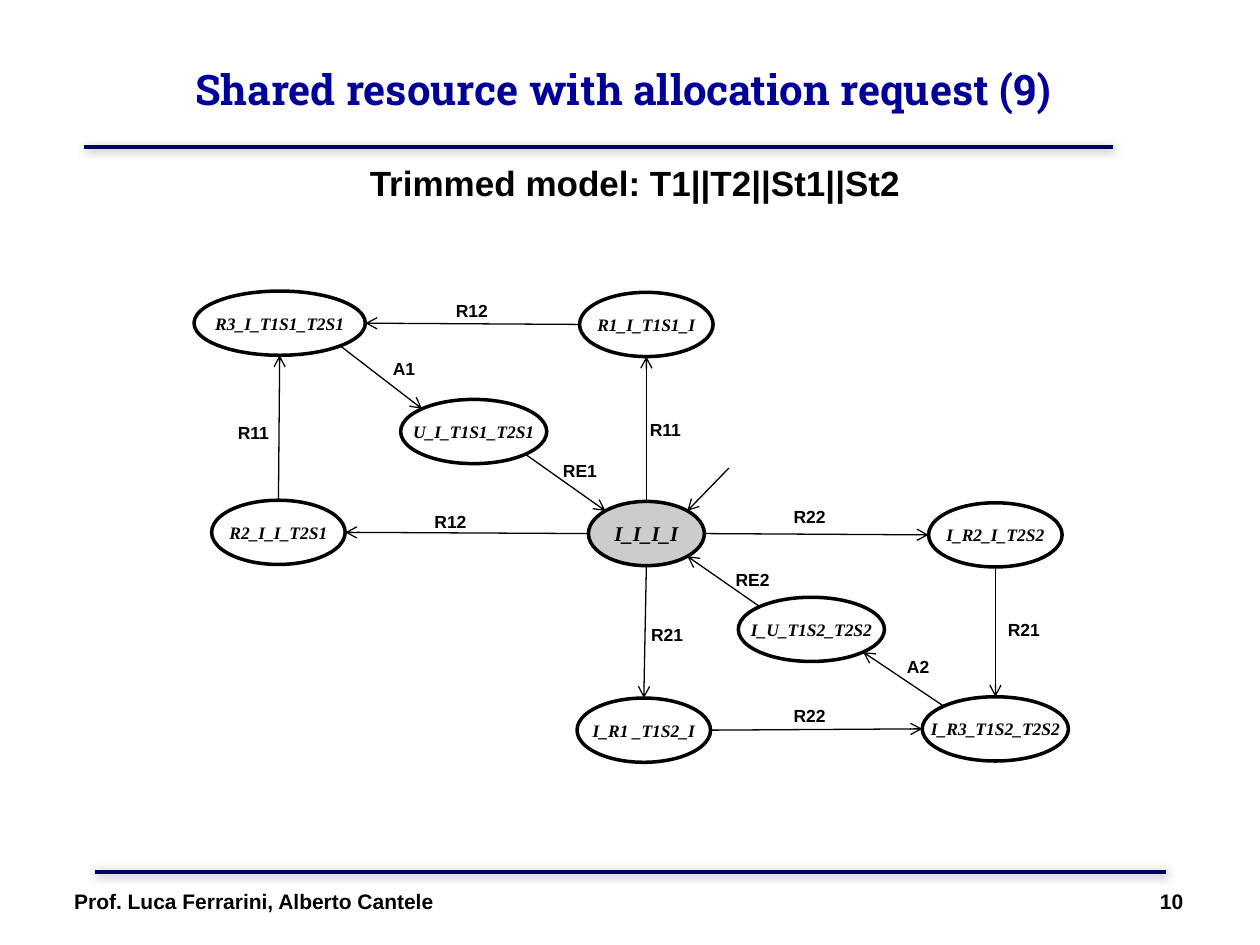
from math import cos, radians, sin

from lxml import etree
from pptx import Presentation
from pptx.dml.color import RGBColor
from pptx.enum.shapes import MSO_CONNECTOR, MSO_SHAPE
from pptx.enum.text import MSO_ANCHOR, PP_ALIGN
from pptx.oxml.ns import qn
from pptx.util import Inches, Pt

STRAIGHT = MSO_CONNECTOR.STRAIGHT
ELLIPSE = MSO_SHAPE.OVAL
LEFT, CENTER, RIGHT = PP_ALIGN.LEFT, PP_ALIGN.CENTER, PP_ALIGN.RIGHT
TOP, MIDDLE = MSO_ANCHOR.TOP, MSO_ANCHOR.MIDDLE

COLORS = {
    "title": "000099",
    "rule": "000066",
    "shadow": "808080",
    "ink": "000000",
    "state": "FFFFFF",
    "initial": "CCCCCC",
}

STATE_HEIGHT = 0.51
STATES = {
    "I_I_I_I": (3.13, 1.67, 0.92),
    "R1_I_T1S1_I": (3.06, 0.01, 1.06),
    "I_R2_I_T2S2": (5.83, 1.68, 1.06),
    "I_R1 _T1S2_I": (3.04, 3.23, 1.06),
    "R2_I_I_T2S1": (0.14, 1.66, 1.06),
    "I_R3_T1S2_T2S2": (5.78, 3.22, 1.16),
    "I_U_T1S2_T2S2": (4.32, 2.43, 1.16),
    "R3_I_T1S1_T2S1": (0, 0, 1.36),
    "U_I_T1S1_T2S1": (1.64, 0.86, 1.16),
}
INITIAL = "I_I_I_I"

ANGLES = {"right": 0, "lower right": 45, "bottom": 90, "left": 180,
          "upper left": 225, "top": 270, "upper right": 315}

TRANSITIONS = [
    ("R11", INITIAL, "top", "R1_I_T1S1_I", "bottom", (3.52, 0.97)),
    ("R12", "R1_I_T1S1_I", "left", "R3_I_T1S1_T2S1", "right", (1.98, 0.02)),
    ("R12", INITIAL, "left", "R2_I_I_T2S1", "right", (1.81, 1.7)),
    ("R11", "R2_I_I_T2S1", "top", "R3_I_T1S1_T2S1", "bottom", (0.25, 0.99)),
    ("A1", "R3_I_T1S1_T2S1", "lower right", "U_I_T1S1_T2S1", "upper left", (1.48, 0.48)),
    ("RE1", "U_I_T1S1_T2S1", "lower right", INITIAL, "upper left", (2.83, 1.29)),
    ("R22", INITIAL, "right", "I_R2_I_T2S2", "left", (4.66, 1.66)),
    ("R21", INITIAL, "bottom", "I_R1 _T1S2_I", "top", (3.53, 2.59)),
    ("R21", "I_R2_I_T2S2", "bottom", "I_R3_T1S2_T2S2", "top", (6.36, 2.55)),
    ("R22", "I_R1 _T1S2_I", "right", "I_R3_T1S2_T2S2", "left", (4.66, 3.24)),
    ("A2", "I_R3_T1S2_T2S2", "upper left", "I_U_T1S2_T2S2", "lower right", (5.56, 2.85)),
    ("RE2", "I_U_T1S2_T2S2", "upper left", INITIAL, "lower right", (4.2, 2.16)),
]


def color(name):
    """Return the named colour."""
    return RGBColor.from_string(COLORS[name])


def write(shape, text, size, font="Arial", ink="ink", align=LEFT, anchor=TOP, italic=False):
    """Put one bold formatted paragraph into a shape."""
    frame = shape.text_frame
    frame.text = text
    frame.vertical_anchor = anchor
    para = frame.paragraphs[0]
    para.alignment = align
    span = para.runs[0].font
    span.name, span.size, span.bold, span.italic = font, Pt(size), True, italic
    span.color.rgb = color(ink)


def add_text(page, box, text, size, **style):
    """Add a wrapping text box."""
    label = page.shapes.add_textbox(*map(Inches, box))
    label.text_frame.word_wrap = True
    write(label, text, size, **style)


def add_line(page, start, end, ink, width):
    """Add a straight line and return it with its empty effect list."""
    line = page.shapes.add_connector(STRAIGHT, *map(Inches, (*start, *end)))
    line.line.color.rgb = color(ink)
    line.line.width = Pt(width)
    effects = etree.SubElement(line._element.spPr, qn("a:effectLst"))
    return line, effects


def add_arrow(page, start, end):
    """Add a thin line with an open arrowhead at its end."""
    arrow, _ = add_line(page, start, end, "ink", 0.75)
    etree.SubElement(arrow.line._get_or_add_ln(), qn("a:tailEnd"), type="arrow")


def add_rule(page, left, top, width):
    """Add a horizontal rule with a soft shadow."""
    _, effects = add_line(page, (left, top), (left + width, top), "rule", 2.25)
    shadow = etree.SubElement(effects, qn("a:outerShdw"), blurRad=str(Pt(5)),
                              dist=str(Pt(1.4)), dir=str(45 * 60000))
    tint = etree.SubElement(shadow, qn("a:srgbClr"), val=COLORS["shadow"])
    etree.SubElement(tint, qn("a:alpha"), val="75000")


def add_header(page, left, top, width):
    """Add the title, its rule and the subtitle."""
    add_rule(page, left, top + 1.09, 8.16)
    add_text(page, (left + 0.03, top, width, 1.25),
             "Shared resource with allocation request (9)", 24,
             font="Roboto Slab", ink="title", align=CENTER, anchor=MIDDLE)
    add_text(page, (left - 0.08, top + 1.15, 8.9, 0.44),
             "Trimmed model: T1||T2||St1||St2", 20, align=CENTER)


def add_footer(page, left, top, width):
    """Add the footer rule, the authors and the page number."""
    add_rule(page, left + 0.26, top - 0.08, 8.5)
    half = width / 2
    add_text(page, (left, top, half, 0.5), "Prof. Luca Ferrarini, Alberto Cantele", 12)
    add_text(page, (left + half, top, half, 0.5), "10", 12, align=RIGHT)


def rim_point(state, side, left, top):
    """Return the point on one side of a state's ellipse."""
    x, y, width = STATES[state]
    angle = radians(ANGLES[side])
    return (left + x + width / 2 * (1 + cos(angle)),
            top + y + STATE_HEIGHT / 2 * (1 + sin(angle)))


def add_state(page, name, left, top):
    """Add one named state ellipse."""
    x, y, width = STATES[name]
    state = page.shapes.add_shape(
        ELLIPSE, *map(Inches, (left + x, top + y, width, STATE_HEIGHT)))
    state.shadow.inherit = False
    state.fill.solid()
    state.fill.fore_color.rgb = color("initial" if name == INITIAL else "state")
    state.line.color.rgb = color("ink")
    state.line.width = Pt(2)
    frame = state.text_frame
    frame.word_wrap = False
    frame.margin_left = frame.margin_right = frame.margin_top = frame.margin_bottom = 0
    write(state, name, 12 if name == INITIAL else 10, font="Times New Roman",
          align=CENTER, anchor=MIDDLE, italic=True)


def add_automaton(page, left, top):
    """Add the states, the labelled transitions and the entry arrow."""
    for name in STATES:
        add_state(page, name, left, top)
    for event, source, exit_side, target, entry_side, (x, y) in TRANSITIONS:
        add_arrow(page, rim_point(source, exit_side, left, top),
                  rim_point(target, entry_side, left, top))
        add_text(page, (left + x, top + y, 0.53, 0.27), event, 10)
    entry_x, entry_y = rim_point(INITIAL, "upper right", left, top)
    add_arrow(page, (entry_x + 0.33, entry_y - 0.34), (entry_x, entry_y))


def main():
    """Build and save the slide."""
    deck = Presentation()
    deck.slide_width, deck.slide_height = Inches(10), Inches(7.5)
    page = deck.slides.add_slide(deck.slide_layouts[6])
    add_header(page, 0.67, 0.08, 8.5)
    add_automaton(page, 1.54, 2.31)
    add_footer(page, 0.49, 7, 9)
    deck.save("out.pptx")


if __name__ == "__main__":
    main()
